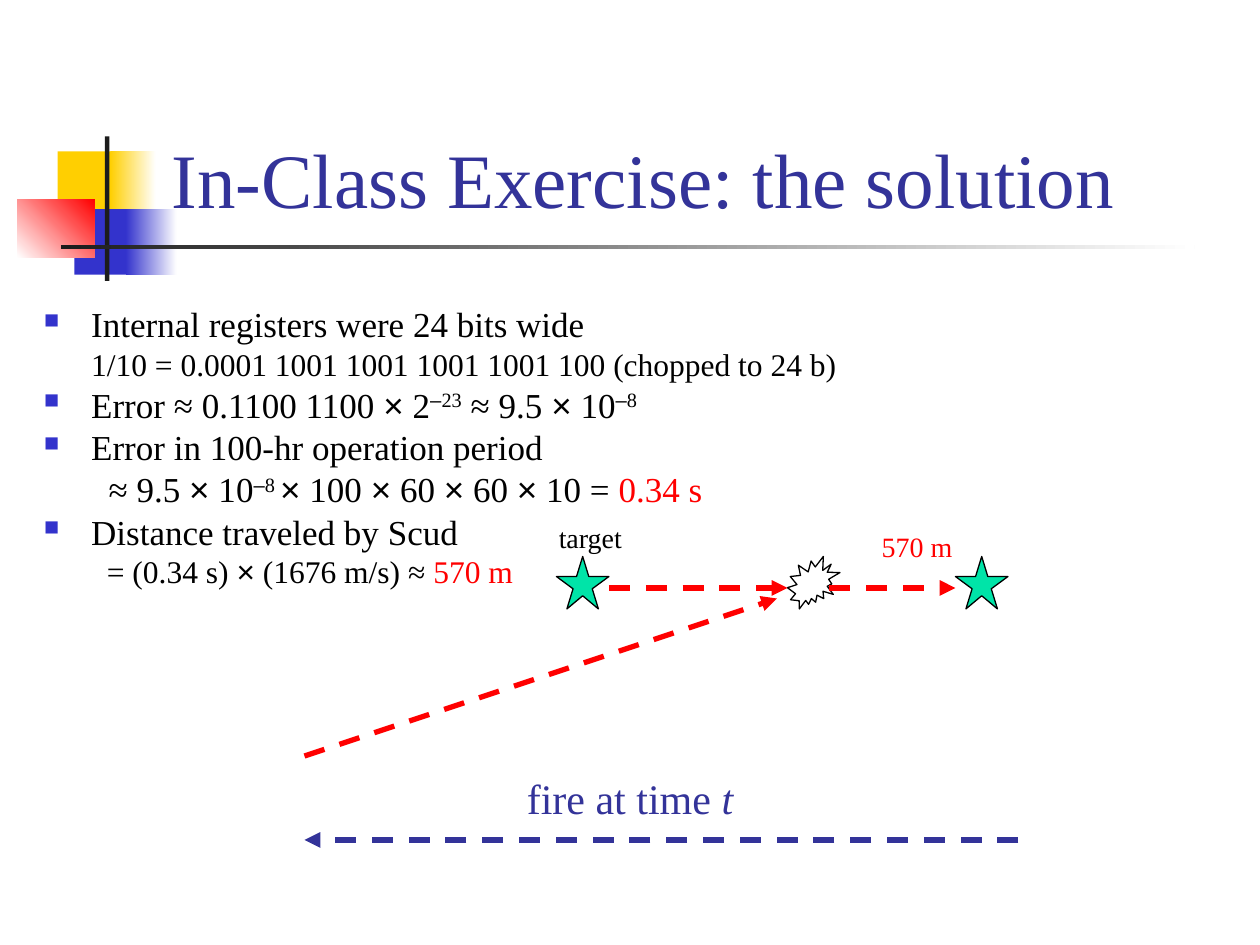
from itertools import groupby
from lxml import etree
from pptx import Presentation
from pptx.dml.color import RGBColor
from pptx.enum import dml, shapes, text
from pptx.oxml.ns import qn
from pptx.util import Pt

C = {"yellow": "FFCF01", "blue": "3333CC", "red": "FF0000", "dark": "1C1C1C",
     "white": "FFFFFF", "navy": "333399", "black": "000000", "green": "00E4A8"}
C = {name: RGBColor.from_string(v) for name, v in C.items()}

prs = Presentation()
prs.slide_width, prs.slide_height = Pt(720), Pt(540)
s = prs.slides.add_slide(prs.slide_layouts[6])


def add_runs(p, size, parts):
    """Fill a paragraph; multiplication and minus signs are set in Arial."""
    for words, color, extra in parts:
        for symbol, chars in groupby(words, key=lambda c: c in "×–"):
            r = p.add_run()
            r.text = "".join(chars)
            fmt = {"size": Pt(size), "name": "Arial" if symbol else "Times New Roman"}
            if extra == "italic":
                fmt["italic"] = True
            for key, value in fmt.items():
                setattr(r.font, key, value)
            r.font.color.rgb = C[color]
            if extra == "super":
                r.font._element.set("baseline", "30000")


def add_box(x, y, w, h, **fmt):
    tf = s.shapes.add_textbox(Pt(x), Pt(y), Pt(w), Pt(h)).text_frame
    for key, value in fmt.items():
        setattr(tf, key, value)
    return tf


# Corner decoration: left, top, width, height, start colour, end colour, angle
for x, y, w, h, start, end, angle in [
    (33, 86.5, 35, 37.5, "yellow", None, 0),
    (63, 86.5, 26, 37.5, "yellow", "white", 0),
    (42.5, 119.5, 33, 37.5, "blue", None, 0),
    (72, 119.5, 29, 37.5, "blue", "white", 0),
    (10, 113.75, 44, 33.5, "white", "red", 45),
    (60, 78, 2.5, 82.5, "dark", None, 0),
    (34.75, 140, 648, 2.5, "dark", "white", 0),
]:
    sp = s.shapes.add_shape(shapes.MSO_SHAPE.RECTANGLE, Pt(x), Pt(y), Pt(w), Pt(h))
    sp.shadow.inherit = False
    sp.line.fill.background()
    if end:
        sp.fill.gradient()
        sp.fill.gradient_angle = angle
        for stop, position, name in zip(sp.fill.gradient_stops, (0, 1), (start, end)):
            stop.position = position
            stop.color.rgb = C[name]
    else:
        sp.fill.solid()
        sp.fill.fore_color.rgb = C[start]

# Title
tf = add_box(91, 16.5, 613, 115, word_wrap=True,
             vertical_anchor=text.MSO_ANCHOR.BOTTOM)
add_runs(tf.paragraphs[0], 44, [("In-Class Exercise: the solution", "navy", None)])

# Body: bulleted, left margin, first-line indent, size, runs
body = [
    (True, 27, -27, 20, [("Internal registers were 24 bits wide", "black", None)]),
    (False, 27, 0, 18, [("1/10 = 0.0001 1001 1001 1001 1001 100 (chopped to 24 b)",
                         "black", None)]),
    (True, 27, -27, 20, [("Error ≈ 0.1100 1100 × 2", "black", None),
                         ("–23", "black", "super"),
                         (" ≈ 9.5 × 10", "black", None),
                         ("–8", "black", "super")]),
    (True, 27, -27, 20, [("Error in 100-hr operation period", "black", None)]),
    (False, 37, 0, 20, [("≈ 9.5 × 10", "black", None),
                        ("–8 ", "black", "super"),
                        ("× 100 × 60 × 60 × 10 = ", "black", None),
                        ("0.34 s", "red", None)]),
    (True, 27, -27, 20, [("Distance traveled by Scud", "black", None)]),
    (False, 58.5, -22.5, 18, [("= (0.34 s) × (1676 m/s) ≈ ", "black", None),
                              ("570 m", "red", None)]),
]
tf = add_box(18, 174, 480, 174, word_wrap=True)
for i, (bulleted, margin, indent, size, parts) in enumerate(body):
    p = tf.add_paragraph() if i else tf.paragraphs[0]
    p.line_spacing = 0.8
    p.space_before = Pt(size / 4 if i else 0)
    pPr = p._p.get_or_add_pPr()
    pPr.set("marL", str(Pt(margin)))
    pPr.set("indent", str(Pt(indent)))
    if bulleted:
        clr = etree.SubElement(pPr, qn("a:buClr"))
        etree.SubElement(clr, qn("a:srgbClr"), val=str(C["blue"]))
        etree.SubElement(pPr, qn("a:buSzPct"), val="60000")
        etree.SubElement(pPr, qn("a:buChar"), char="■")
    add_runs(p, size, parts)

# Target, before and after the miss
star = [(0, 11.5), (11.5, 11.5), (15, 0), (18.5, 11.5), (30, 11.5),
        (20.5, 18.5), (24, 30), (15, 22.5), (6, 30), (9.5, 18.5)]
outlined = []
for left in (318, 546):
    points = [(Pt(left + x), Pt(318 + y)) for x, y in star]
    fb = s.shapes.build_freeform(*points[0])
    fb.add_line_segments(points[1:], close=True)
    sp = fb.convert_to_shape()
    sp.fill.solid()
    sp.fill.fore_color.rgb = C["green"]
    outlined.append(sp)

# Burst where the interceptor arrives
sp = s.shapes.add_shape(shapes.MSO_SHAPE.EXPLOSION2, Pt(450), Pt(318), Pt(30), Pt(30))
sp.fill.background()
outlined.append(sp)
for sp in outlined:
    sp.shadow.inherit = False
    sp.line.color.rgb = C["black"]
    sp.line.width = Pt(0.75)

# Dashed arrows
for x1, y1, x2, y2, color in [
    (348, 336, 450, 336, "red"),
    (174, 432, 444, 342, "red"),
    (582, 480, 174, 480, "navy"),
    (474, 336, 546, 336, "red"),
]:
    sp = s.shapes.add_connector(shapes.MSO_CONNECTOR.STRAIGHT,
                                Pt(x1), Pt(y1), Pt(x2), Pt(y2))
    sp.line.color.rgb = C[color]
    sp.line.width = Pt(3)
    sp.line.dash_style = dml.MSO_LINE.DASH
    spPr = sp._element.spPr
    etree.SubElement(spPr.find(qn("a:ln")), qn("a:tailEnd"), type="triangle")
    etree.SubElement(spPr, qn("a:effectLst"))

# Labels
for x, y, w, h, size, parts in [
    (312.25, 294, 50.5, 26.5, 16, [("target", "black", None)]),
    (294, 438, 132.5, 36, 24, [("fire at time ", "navy", None), ("t", "navy", "italic")]),
    (496.75, 299, 54.5, 26.5, 16, [("570 m", "red", None)]),
]:
    tf = add_box(x, y, w, h, word_wrap=False,
                 auto_size=text.MSO_AUTO_SIZE.SHAPE_TO_FIT_TEXT)
    add_runs(tf.paragraphs[0], size, parts)

prs.save("out.pptx")
